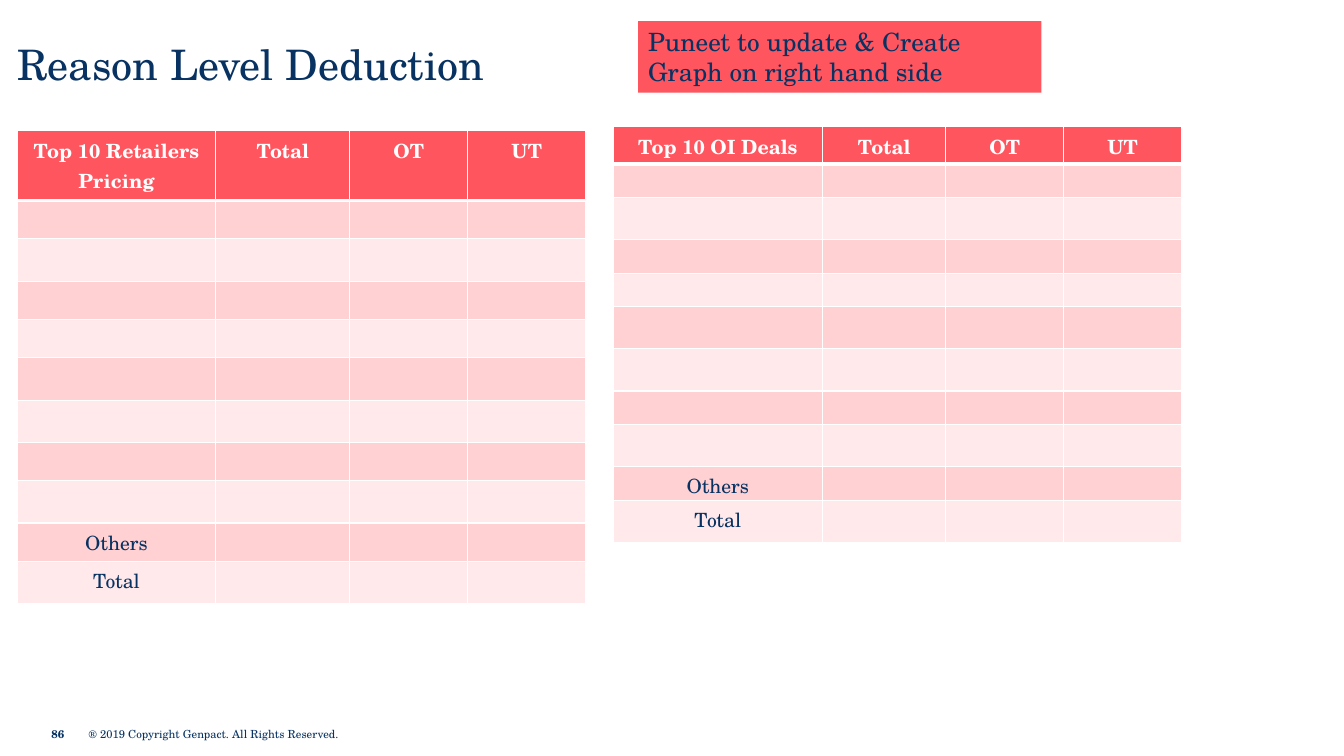
from dataclasses import dataclass

from lxml import etree
from pptx import Presentation
from pptx.dml.color import RGBColor
from pptx.enum.shapes import MSO_SHAPE
from pptx.enum.text import MSO_ANCHOR, PP_ALIGN
from pptx.oxml.ns import qn
from pptx.slide import Slide
from pptx.table import _Cell
from pptx.text.text import TextFrame
from pptx.util import Inches, Pt

RECT = MSO_SHAPE.RECTANGLE
TOP, MIDDLE = MSO_ANCHOR.TOP, MSO_ANCHOR.MIDDLE
LEFT, CENTER = PP_ALIGN.LEFT, PP_ALIGN.CENTER


@dataclass(frozen=True)
class Theme:
    font: str = "TeX Gyre Schola"
    navy: str = "073262"
    coral: str = "FF555F"
    dark: str = "FFD1D2"
    light: str = "FFE9EA"
    white: str = "FFFFFF"
    title: int = 30
    callout: int = 18
    body: int = 14
    foot: int = 8
    thin: int = 1
    thick: int = 3


@dataclass(frozen=True)
class Label:
    text: str
    left: float
    top: float
    width: float
    height: float
    size: int
    bold: bool = False
    anchor: MSO_ANCHOR = MIDDLE
    pad: float = 0


@dataclass(frozen=True)
class Grid:
    head: str
    left: float
    top: float
    cols: tuple[float, ...]
    first: float
    short: float


THEME = Theme()
TALL = 0.42
TALL_ROWS = {2, 5, 6, 8, 10}
ROWS = 11
FINAL = {9: "Others", 10: "Total"}

LABELS = [
    Label("86", 0.51, 7.16, 0.75, 0.24, THEME.foot, bold=True),
    Label("® 2019 Copyright Genpact. All Rights Reserved.",
          0.88, 7.16, 2.58, 0.24, THEME.foot),
    Label("Reason Level Deduction", 0.17, 0.33, 12.33, 0.58, THEME.title,
          anchor=TOP, pad=0.05),
]
GRIDS = [
    Grid("Top 10 Retailers Pricing", 0.17, 1.29, (1.97, 1.33, 1.17, 1.17),
         0.7, 0.38),
    Grid("Top 10 OI Deals", 6.08, 1.25, (2.08, 1.22, 1.17, 1.17),
         0.38, 0.33),
]


def write(frame: TextFrame, text: str, size: int, color: str = THEME.navy,
          bold: bool = False, align: PP_ALIGN = LEFT) -> None:
    frame.word_wrap = True
    para = frame.paragraphs[0]
    para.text = text
    para.alignment = align
    font = para.font
    font.name = THEME.font
    font.size = Pt(size)
    font.bold = bold
    font.color.rgb = RGBColor.from_string(color)


def add_label(slide: Slide, label: Label) -> None:
    box = slide.shapes.add_textbox(Inches(label.left), Inches(label.top),
                                   Inches(label.width), Inches(label.height))
    frame = box.text_frame
    frame.margin_left = frame.margin_right = 0
    frame.margin_top = frame.margin_bottom = Inches(label.pad)
    frame.vertical_anchor = label.anchor
    write(frame, label.text, label.size, bold=label.bold)


def add_callout(slide: Slide) -> None:
    box = slide.shapes.add_shape(RECT, Inches(6.33), Inches(0.21),
                                 Inches(4), Inches(0.71))
    box.shadow.inherit = False
    box.fill.solid()
    box.fill.fore_color.rgb = RGBColor.from_string(THEME.coral)
    box.line.fill.background()
    box.text_frame.vertical_anchor = TOP
    write(box.text_frame, "Puneet to update & Create Graph on right hand side",
          THEME.callout)


def style_cell(cell: _Cell, row: int) -> None:
    props = cell._tc.get_or_add_tcPr()
    heavy = {0: "lnB", 1: "lnT"}.get(row)
    for side in ("lnL", "lnR", "lnT", "lnB"):
        width = THEME.thick if side == heavy else THEME.thin
        line = etree.SubElement(props, qn(f"a:{side}"), w=str(Pt(width)))
        fill = etree.SubElement(line, qn("a:solidFill"))
        etree.SubElement(fill, qn("a:srgbClr"), val=THEME.white)
    band = THEME.dark if row % 2 else THEME.light
    cell.fill.solid()
    cell.fill.fore_color.rgb = RGBColor.from_string(band if row else THEME.coral)


def add_grid(slide: Slide, grid: Grid) -> None:
    heights = [grid.first] + [TALL if row in TALL_ROWS else grid.short
                              for row in range(1, ROWS)]
    frame = slide.shapes.add_table(
        ROWS, len(grid.cols), Inches(grid.left), Inches(grid.top),
        Inches(sum(grid.cols)), Inches(sum(heights)))
    table = frame.table
    for col, width in zip(table.columns, grid.cols):
        col.width = Inches(width)
    heads = (grid.head, "Total", "OT", "UT")
    for row, height in enumerate(heights):
        table.rows[row].height = Inches(height)
        texts = heads if row == 0 else (FINAL.get(row, ""), "", "", "")
        for col, text in enumerate(texts):
            cell = table.cell(row, col)
            style_cell(cell, row)
            if not text:
                cell.margin_top = cell.margin_bottom = 0
                continue
            color = THEME.navy if row else THEME.white
            write(cell.text_frame, text, THEME.body, color, row == 0, CENTER)


def main() -> None:
    deck = Presentation()
    deck.slide_width, deck.slide_height = Inches(13.33), Inches(7.5)
    slide = deck.slides.add_slide(deck.slide_layouts[6])
    for label in LABELS:
        add_label(slide, label)
    add_callout(slide)
    for grid in GRIDS:
        add_grid(slide, grid)
    deck.save("out.pptx")


if __name__ == "__main__":
    main()
